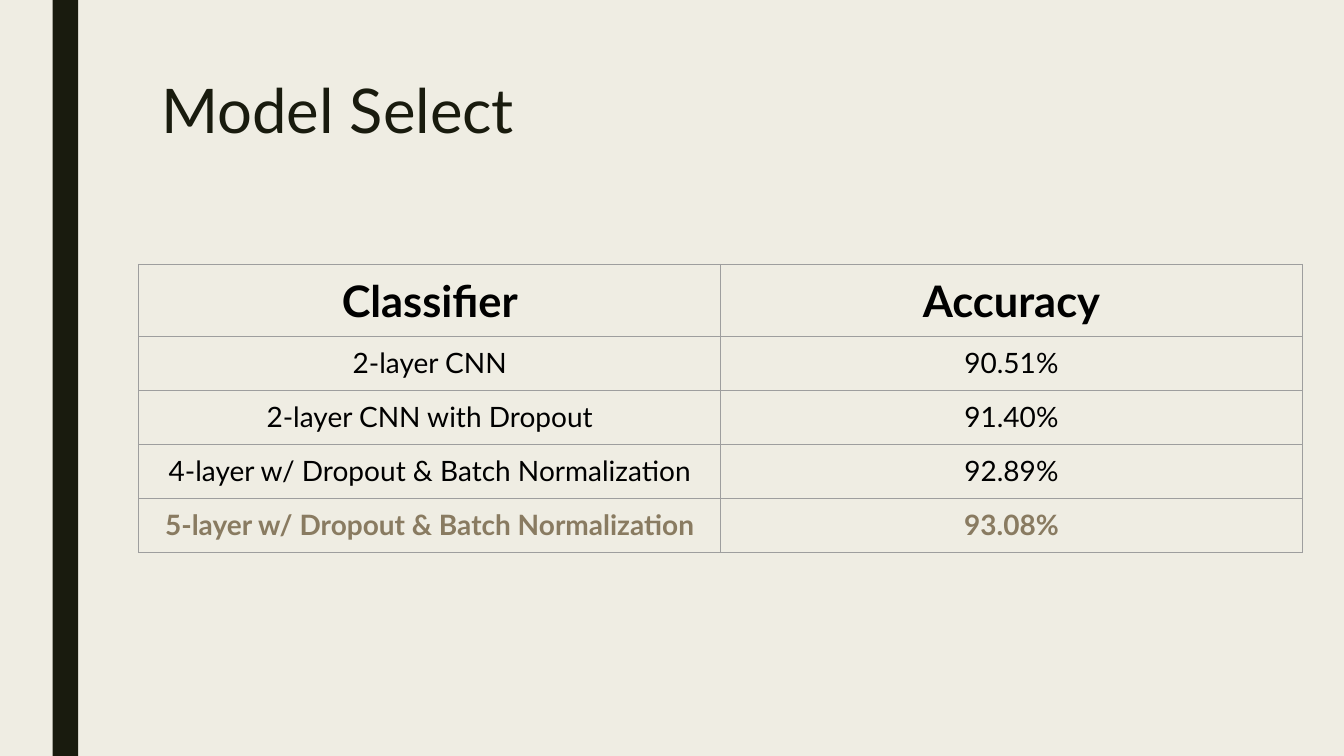
import dataclasses

import lxml.etree
import pptx
import pptx.dml.color
import pptx.enum.shapes
import pptx.enum.text
import pptx.oxml.ns
import pptx.util

Cm = pptx.util.Cm
Pt = pptx.util.Pt

FONT = "Lato"
COLOURS = {
    "background": "EFEDE3",
    "dark": "191B0E",
    "text": "000000",
    "highlight": "897B61",
    "border": "9E9E9E",
}


@dataclasses.dataclass
class ModelRow:
    classifier: str
    accuracy: str
    height: float = 1.36
    size: int = 20
    bold: bool = False
    colour: str = "text"


MODEL_ROWS = [
    ModelRow("Classifier", "Accuracy", height=1.81, size=31, bold=True),
    ModelRow("2-layer CNN", "90.51%"),
    ModelRow("2-layer CNN with Dropout", "91.40%"),
    ModelRow("4-layer w/ Dropout & Batch Normalization", "92.89%"),
    ModelRow("5-layer w/ Dropout & Batch Normalization", "93.08%",
             bold=True, colour="highlight"),
]


def rgb(name: str) -> pptx.dml.color.RGBColor:
    return pptx.dml.color.RGBColor.from_string(COLOURS[name])


def set_attributes(target, values: dict) -> None:
    for name, value in values.items():
        setattr(target, name, value)


def format_paragraph(paragraph, size: int, colour: str, bold: bool, alignment) -> None:
    paragraph.alignment = alignment
    font = paragraph.runs[0].font
    set_attributes(font, {"name": FONT, "size": Pt(size), "bold": bold})
    font.color.rgb = rgb(colour)


def add_borders(cell) -> None:
    properties = cell._tc.get_or_add_tcPr()
    qn = pptx.oxml.ns.qn
    for side in ("a:lnL", "a:lnR", "a:lnT", "a:lnB"):
        line = lxml.etree.SubElement(properties, qn(side), w=str(Pt(0.75)))
        fill = lxml.etree.SubElement(line, qn("a:solidFill"))
        lxml.etree.SubElement(fill, qn("a:srgbClr"), val=COLOURS["border"])


def add_side_bar(slide) -> None:
    bar = slide.shapes.add_shape(
        pptx.enum.shapes.MSO_SHAPE.RECTANGLE, Cm(1.33), Cm(0), Cm(0.64), Cm(19.05))
    bar.shadow.inherit = False
    bar.fill.solid()
    bar.fill.fore_color.rgb = rgb("dark")
    bar.line.fill.background()


def add_title(slide) -> None:
    title = slide.shapes.title
    set_attributes(title, {"left": Cm(3.81), "top": Cm(1.91),
                           "width": Cm(26.67), "height": Cm(4.13)})
    frame = title.text_frame
    frame.text = "Model Select"
    set_attributes(frame, {
        "word_wrap": True,
        "auto_size": pptx.enum.text.MSO_AUTO_SIZE.NONE,
        "vertical_anchor": pptx.enum.text.MSO_ANCHOR.TOP,
    })
    paragraph = frame.paragraphs[0]
    paragraph.line_spacing = 0.89
    format_paragraph(paragraph, 44, "dark", False, pptx.enum.text.PP_ALIGN.LEFT)


def add_model_table(slide, rows: list[ModelRow]) -> None:
    column_width = 14.66
    height = sum(row.height for row in rows)
    table = slide.shapes.add_table(
        len(rows), 2, Cm(3.5), Cm(6.66), Cm(2 * column_width), Cm(height)).table
    set_attributes(table, {"first_row": False, "horz_banding": False})
    for column in table.columns:
        column.width = Cm(column_width)
    margins = {f"margin_{side}": Cm(0.25) for side in ("left", "right", "top", "bottom")}
    for row_index, row in enumerate(rows):
        table.rows[row_index].height = Cm(row.height)
        for column_index, text in enumerate((row.classifier, row.accuracy)):
            cell = table.cell(row_index, column_index)
            cell.text = text
            set_attributes(cell, margins)
            add_borders(cell)
            cell.fill.background()
            format_paragraph(cell.text_frame.paragraphs[0], row.size, row.colour,
                             row.bold, pptx.enum.text.PP_ALIGN.CENTER)


def main() -> None:
    presentation = pptx.Presentation()
    set_attributes(presentation, {"slide_width": Cm(33.87), "slide_height": Cm(19.05)})
    slide = presentation.slides.add_slide(presentation.slide_layouts.get_by_name("Title Only"))

    # Background and side bar
    slide.background.fill.solid()
    slide.background.fill.fore_color.rgb = rgb("background")
    add_side_bar(slide)

    # Title and comparison of models
    add_title(slide)
    add_model_table(slide, MODEL_ROWS)

    presentation.save("out.pptx")


if __name__ == "__main__":
    main()
